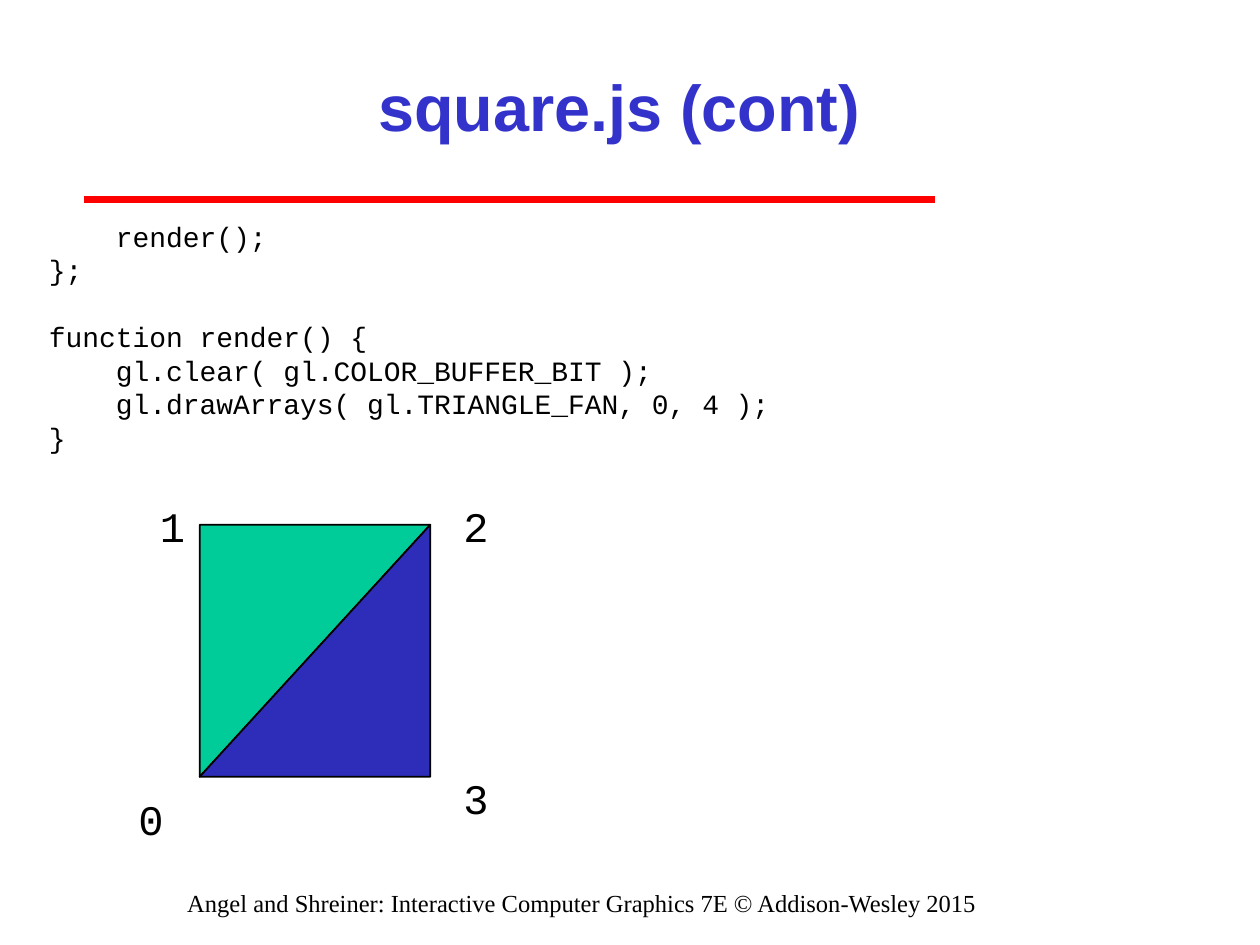
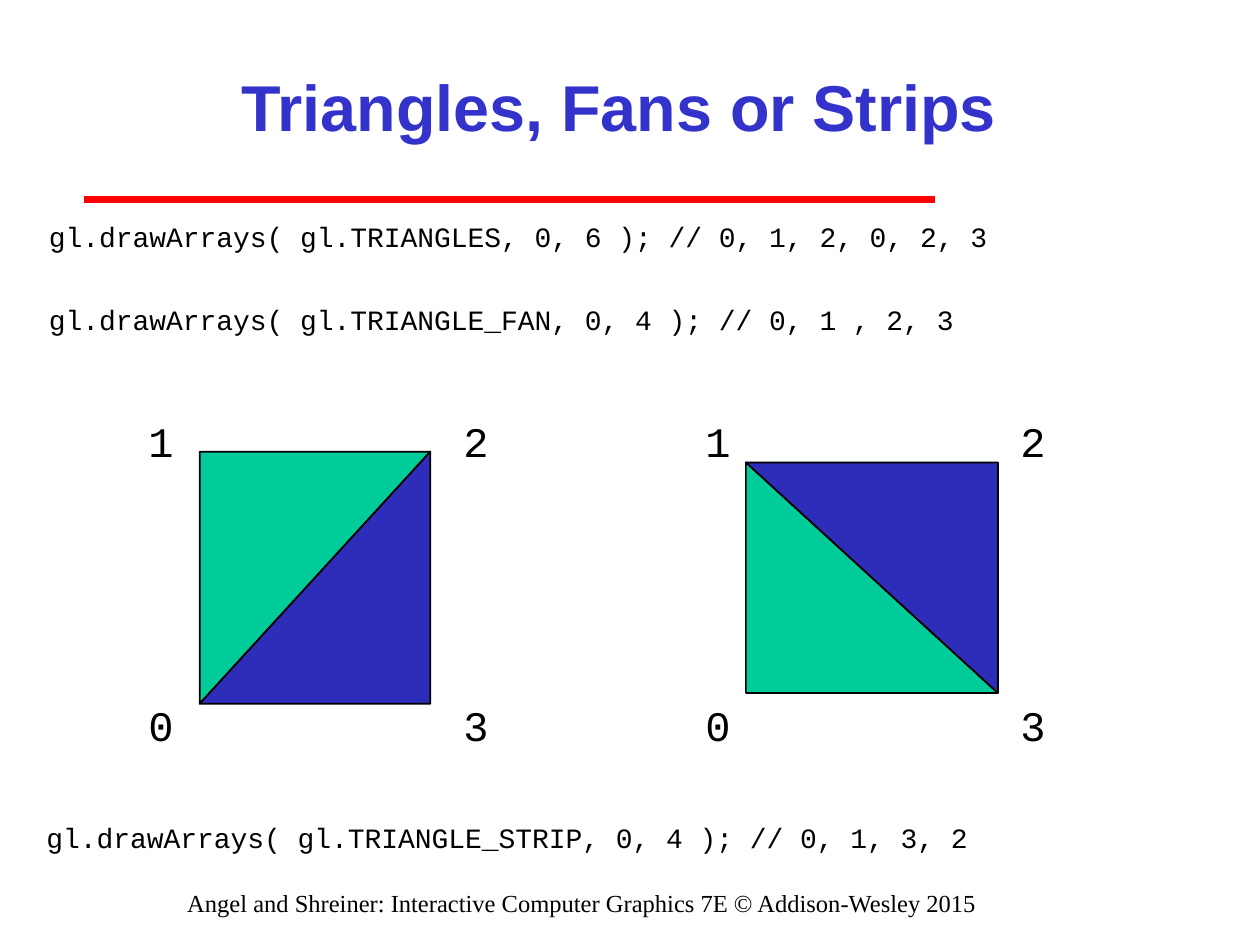
from lxml import etree
from pptx import Presentation
from pptx.dml.color import RGBColor
from pptx.enum.shapes import MSO_CONNECTOR as Connector, MSO_SHAPE as Shape
from pptx.enum.text import MSO_ANCHOR as Anchor, MSO_AUTO_SIZE as AutoSize, PP_ALIGN as Align
from pptx.oxml.ns import qn
from pptx.util import Inches, Pt

COLORS = {
    "title": "3333CC",
    "rule": "FF0000",
    "text": "000000",
    "first": "00CC99",
    "second": "2D2DB9",
}
FOOTER = "Angel and Shreiner: Interactive Computer Graphics 7E © Addison-Wesley 2015"
CODE_LINE = 0.27  # height of one line of code, in inches

# Offsets of the vertex numbers 0 to 3 from the corner of a square
EVEN_LABELS = [(-0.42, 1.83), (-0.42, -0.42), (2.08, -0.42), (2.08, 1.83)]
LOOSE_LABELS = [(-0.5, 2), (-0.33, -0.33), (2.08, -0.33), (2.08, 1.83)]


def color(name):
    return RGBColor.from_string(COLORS[name])


class Deck:
    """Holds the shared style and the slide being drawn."""

    def __init__(self):
        self.presentation = Presentation()
        self.presentation.slide_width = Inches(10)
        self.presentation.slide_height = Inches(7.5)
        self.slide = None

    def add_slide(self, title):
        layout = self.presentation.slide_layouts[6]
        self.slide = self.presentation.slides.add_slide(layout)
        self.rule()
        frame = self.text([title], 1.5, 0.25, 6.83, 1.17, 37, "Arial",
                          "title", Align.CENTER, bold=True)
        frame.vertical_anchor = Anchor.MIDDLE
        self.text([FOOTER], 1.08, 7, 7.08, 0.25, 14, "Times New Roman",
                  align=Align.CENTER)

    def rule(self):
        line = self.slide.shapes.add_connector(
            Connector.STRAIGHT, Inches(0.67), Inches(1.58), Inches(7.42), Inches(1.58))
        line.line.color.rgb = color("rule")
        line.line.width = Pt(4)
        etree.SubElement(line._element.spPr, qn("a:effectLst"))

    def text(self, lines, left, top, width, height, size, font,
             ink="text", align=Align.LEFT, bold=False):
        box = self.slide.shapes.add_textbox(
            Inches(left), Inches(top), Inches(width), Inches(height))
        frame = box.text_frame
        frame.word_wrap = True
        frame.auto_size = AutoSize.NONE
        for index, line in enumerate(lines):
            paragraph = frame.paragraphs[0] if index == 0 else frame.add_paragraph()
            paragraph.text = line
            paragraph.alignment = align
            paragraph.font.size = Pt(size)
            paragraph.font.name = font
            paragraph.font.bold = bold
            paragraph.font.color.rgb = color(ink)
        return frame

    def code(self, lines, top, left=0.29, width=9.42):
        """Code that starts one line below the top of its box."""
        height = 0.1 + CODE_LINE * (len(lines) + 1)
        frame = self.text(lines, left, top, width, height, 16, "Courier New")
        frame.margin_top = Inches(0.05 + CODE_LINE)
        return frame

    def triangle(self, left, top, rotation, fill):
        shape = self.slide.shapes.add_shape(
            Shape.RIGHT_TRIANGLE, Inches(left), Inches(top), Inches(2), Inches(1.83))
        shape.rotation = rotation
        shape.shadow.inherit = False
        shape.fill.solid()
        shape.fill.fore_color.rgb = color(fill)
        shape.line.color.rgb = color("text")
        shape.line.width = Pt(1)

    def square(self, left, top, rotation, offsets=EVEN_LABELS):
        """Two triangles that share a diagonal, with numbered vertices."""
        self.triangle(left, top, rotation, "first")
        self.triangle(left, top, rotation + 180, "second")
        for vertex, (dx, dy) in enumerate(offsets):
            self.text([str(vertex)], left + dx, top + dy, 0.33, 0.5, 24, "Courier New")


def main():
    deck = Deck()

    # Render function
    deck.add_slide("square.js (cont)")
    frame = deck.code([
        "    render();",
        "};",
        "function render() {",
        "    gl.clear( gl.COLOR_BUFFER_BIT );",
        "    gl.drawArrays( gl.TRIANGLE_FAN, 0, 4 );",
        "}",
    ], top=1.42)
    frame.paragraphs[2].space_before = Pt(19)
    deck.square(1.5, 4.25, 90, LOOSE_LABELS)

    # Three ways to draw the square
    deck.add_slide("Triangles, Fans or Strips")
    deck.code(["gl.drawArrays( gl.TRIANGLES, 0, 6 ); // 0, 1, 2, 0, 2, 3"], top=1.42)
    deck.code(["gl.drawArrays( gl.TRIANGLE_FAN, 0, 4 ); // 0, 1 , 2, 3"], top=2.08)
    deck.code(["gl.drawArrays( gl.TRIANGLE_STRIP, 0, 4 ); // 0, 1, 3, 2"],
              top=6.19, left=0.27, width=9.46)
    deck.square(1.5, 3.67, 90)
    deck.square(5.92, 3.67, 0)

    deck.presentation.save("out.pptx")


if __name__ == "__main__":
    main()
